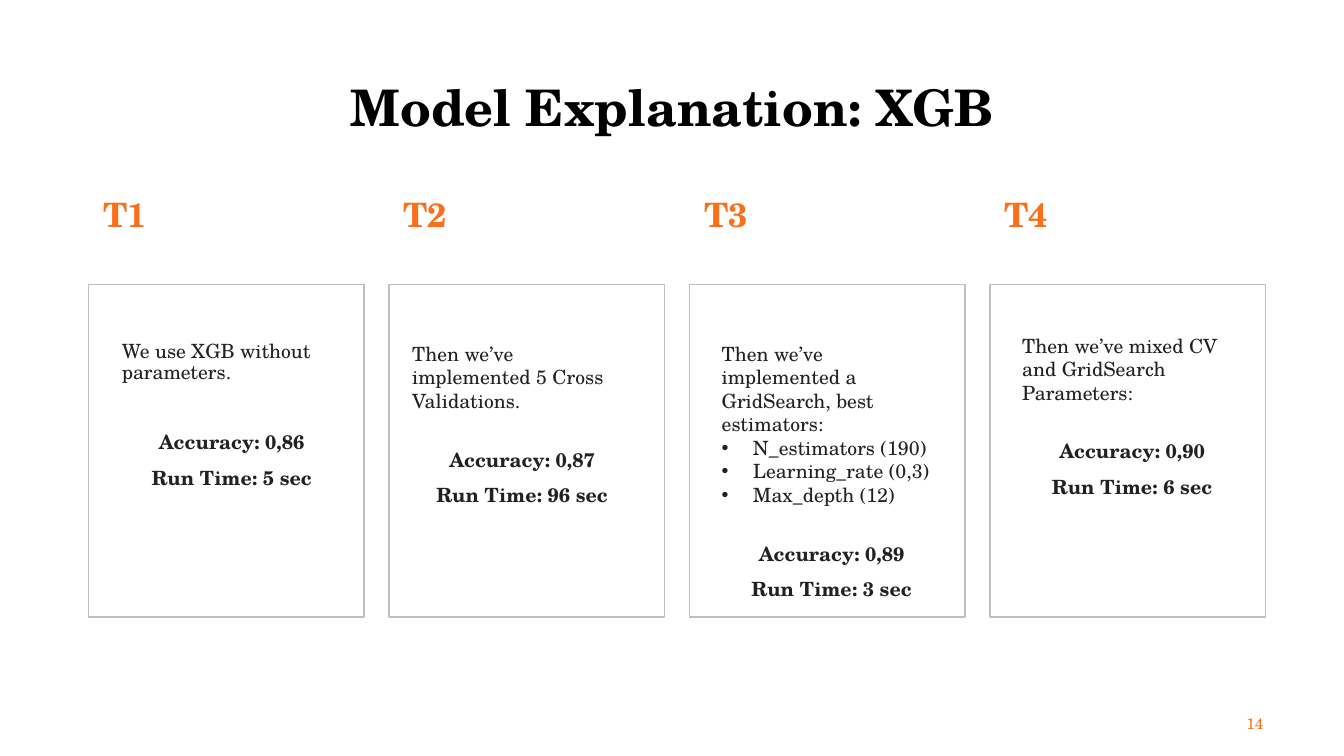
from lxml.etree import SubElement
from pptx import Presentation
from pptx.dml.color import RGBColor
from pptx.enum.text import MSO_ANCHOR, MSO_AUTO_SIZE, PP_ALIGN
from pptx.oxml.ns import qn
from pptx.util import Inches, Pt

FONT = "TeX Gyre Schola"
HEX = {"title": "000000", "accent": "FA6F1A", "body": "202124", "frame": "BFBFBF"}

# Label, text inset (left, top), line spacing, gap above scores, intro, bullets, scores
TRIALS = [
    ("T1", 0.23, 0.52, 0.9, 35, "We use XGB without parameters.", [],
     ["Accuracy: 0,86", "Run Time: 5 sec"]),
    ("T2", 0.13, 0.52, 1.0, 27, "Then we’ve implemented 5 Cross Validations.", [],
     ["Accuracy: 0,87", "Run Time: 96 sec"]),
    ("T3", 0.22, 0.52, 1.0, 27, "Then we’ve implemented a GridSearch, best estimators:",
     ["N_estimators (190)", "Learning_rate (0,3)", "Max_depth (12)"],
     ["Accuracy: 0,89", "Run Time: 3 sec"]),
    ("T4", 0.22, 0.44, 1.0, 27, "Then we’ve mixed CV and GridSearch Parameters:", [],
     ["Accuracy: 0,90", "Run Time: 6 sec"]),
]


def write(para, text, size, color, bold=False, align=PP_ALIGN.LEFT, line=1.0, gap=0):
    para.alignment = align
    para.line_spacing = line
    para.space_before = Pt(gap)
    run = para.add_run()
    run.text = text
    font = run.font
    font.name, font.size, font.bold = FONT, Pt(size), bold
    font.color.rgb = RGBColor.from_string(HEX[color])


def add_text(slide, left, top, width, height, anchor=MSO_ANCHOR.MIDDLE):
    box = slide.shapes.add_textbox(Inches(left), Inches(top), Inches(width), Inches(height))
    frame = box.text_frame
    frame.word_wrap = True
    frame.vertical_anchor = anchor
    return frame


def add_bullet(para):
    props = para._p.get_or_add_pPr()
    props.set("marL", str(Inches(0.31)))
    props.set("indent", str(-Inches(0.31)))
    SubElement(props, qn("a:buFont"), typeface="Arial")
    SubElement(props, qn("a:buChar"), char="•")


def add_title(slide, left, top, width, height):
    title = slide.shapes.title
    title.left, title.top = Inches(left), Inches(top)
    title.width, title.height = Inches(width), Inches(height)
    frame = title.text_frame
    frame.auto_size = MSO_AUTO_SIZE.NONE
    frame.vertical_anchor = MSO_ANCHOR.MIDDLE
    write(frame.paragraphs[0], "Model Explanation: XGB", 36, "title", True,
          PP_ALIGN.CENTER, 0.9)


def add_trial(slide, left, top, width, height, trial):
    label, dx, dy, line, gap, intro, bullets, scores = trial

    # Heading above the card
    head = add_text(slide, left + 0.03, top - 0.95, 0.66, 0.55)
    head.margin_left = head.margin_right = 0
    write(head.paragraphs[0], label, 24, "accent", True, PP_ALIGN.CENTER, 0.9)

    # Card outline
    card = slide.shapes.add_shape(1, Inches(left), Inches(top), Inches(width), Inches(height))
    card.shadow.inherit = False
    card.fill.background()
    card.line.color.rgb = RGBColor.from_string(HEX["frame"])
    card.line.width = Pt(1)

    # Description, bullets and scores
    body = add_text(slide, left + dx, top + dy, 2.28, 2.42, MSO_ANCHOR.TOP)
    body.margin_right = 0
    write(body.paragraphs[0], intro, 14, "body", line=line)
    for item in bullets:
        para = body.add_paragraph()
        write(para, item, 14, "body")
        add_bullet(para)
    for score, space in zip(scores, (gap, 10)):
        write(body.add_paragraph(), score, 14, "body", True, PP_ALIGN.CENTER, 0.9, space)


def add_number(slide, left, top, width, height):
    frame = add_text(slide, left, top, width, height)
    write(frame.paragraphs[0], "14", 11, "accent", align=PP_ALIGN.RIGHT)


def main():
    deck = Presentation()
    deck.slide_width, deck.slide_height = Inches(13.33), Inches(7.5)
    slide = deck.slides.add_slide(deck.slide_layouts[5])
    add_title(slide, 0.47, 0.71, 12.4, 0.77)
    for i, trial in enumerate(TRIALS):
        add_trial(slide, 0.88 + 2.98 * i, 2.82, 2.73, 3.3, trial)
    add_number(slide, 9.63, 6.98, 3, 0.4)
    deck.save("out.pptx")


if __name__ == "__main__":
    main()
